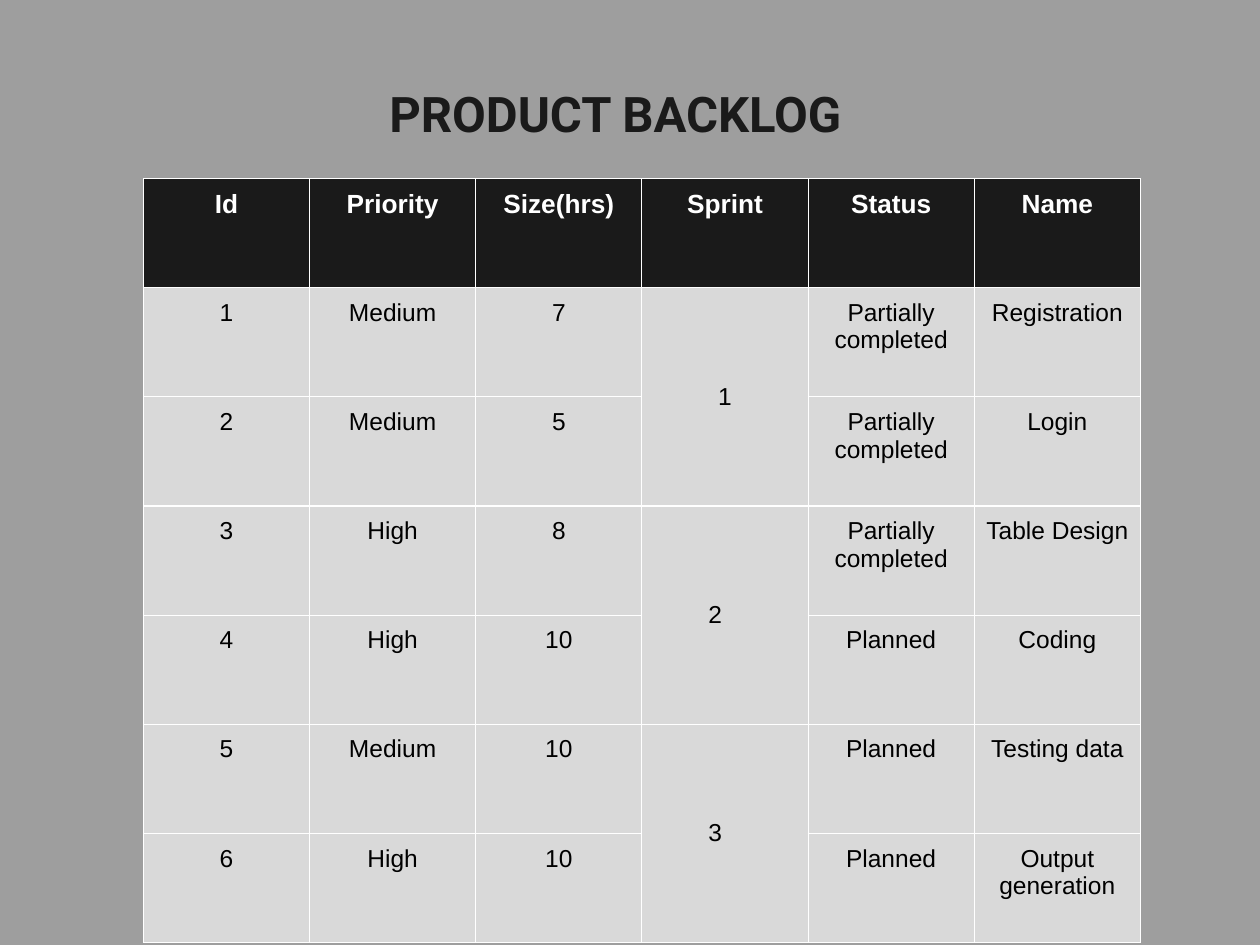
from lxml import etree
from pptx import Presentation
from pptx.dml.color import RGBColor
from pptx.enum import text
from pptx.oxml import ns
from pptx.util import Cm, Pt

TITLE = "PRODUCT BACKLOG"
HEADERS = ("Id", "Priority", "Size(hrs)", "Sprint", "Status", "Name")
BACKLOG = [
    ("1", "Medium", "7", "1", "Partially completed", "Registration"),
    ("2", "Medium", "5", "", "Partially completed", "Login"),
    ("3", "High", "8", "2", "Partially completed", "Table Design"),
    ("4", "High", "10", "", "Planned", "Coding"),
    ("5", "Medium", "10", "3", "Planned", "Testing data"),
    ("6", "High", "10", "", "Planned", "Output generation"),
]
SPRINT_COLUMN = HEADERS.index("Sprint")
ROWS_PER_SPRINT = 2
SPRINT_SHIFT = {"2": Cm(0.4), "3": Cm(0.4)}

THEME = {
    "background": "9E9E9E", "dark": "1A1A1A", "body": "D9D9D9",
    "white": "FFFFFF", "black": "000000",
    "title_font": "Roboto", "table_font": "Arial",
    "title_size": 28, "header_size": 15, "body_size": 14, "border_width": 0.75,
}

SLIDE_SIZE = Cm(25.4), Cm(19.05)
TITLE_BOX = Cm(7.85), Cm(1.68), Cm(9.68), Cm(1.24)
TABLE_LEFT, TABLE_TOP = Cm(2.89), Cm(3.6)
COLUMN_WIDTH, ROW_HEIGHT = Cm(3.35), Cm(2.2)
CELL_TOP_MARGIN = Cm(0.23)


def color(name):
    return RGBColor.from_string(THEME[name])


def add_run(paragraph, content, font_name, size, font_color, bold):
    run = paragraph.add_run()
    run.text = content
    run.font.name = THEME[font_name]
    run.font.size = Pt(THEME[size])
    run.font.color.rgb = color(font_color)
    run.font.bold = bold


def set_borders(cell):
    properties = cell._tc.get_or_add_tcPr()
    for side in ("a:lnL", "a:lnR", "a:lnT", "a:lnB"):
        line = etree.SubElement(properties, ns.qn(side), w=str(Pt(THEME["border_width"])))
        fill = etree.SubElement(line, ns.qn("a:solidFill"))
        etree.SubElement(fill, ns.qn("a:srgbClr"), val=THEME["white"])


def style_cell(cell, content, is_header):
    set_borders(cell)
    cell.fill.solid()
    cell.fill.fore_color.rgb = color("dark" if is_header else "body")
    cell.margin_left = cell.margin_right = cell.margin_bottom = 0
    cell.margin_top = CELL_TOP_MARGIN
    paragraph = cell.text_frame.paragraphs[0]
    paragraph.alignment = text.PP_ALIGN.CENTER
    if content:
        size, font_color = ("header_size", "white") if is_header else ("body_size", "black")
        add_run(paragraph, content, "table_font", size, font_color, is_header)


def add_title(slide):
    frame = slide.shapes.add_textbox(*TITLE_BOX).text_frame
    frame.word_wrap = True
    frame.margin_left = frame.margin_right = frame.margin_top = frame.margin_bottom = 0
    add_run(frame.paragraphs[0], TITLE, "title_font", "title_size", "dark", True)


def add_backlog(slide):
    rows = [HEADERS, *BACKLOG]
    table = slide.shapes.add_table(
        len(rows), len(HEADERS), TABLE_LEFT, TABLE_TOP,
        COLUMN_WIDTH * len(HEADERS), ROW_HEIGHT * len(rows),
    ).table
    for column in table.columns:
        column.width = COLUMN_WIDTH
    for row in table.rows:
        row.height = ROW_HEIGHT
    for row_index, values in enumerate(rows):
        for column_index, value in enumerate(values):
            style_cell(table.cell(row_index, column_index), value, row_index == 0)
    for first in range(1, len(rows), ROWS_PER_SPRINT):
        cell = table.cell(first, SPRINT_COLUMN)
        cell.merge(table.cell(first + ROWS_PER_SPRINT - 1, SPRINT_COLUMN))
        cell.vertical_anchor = text.MSO_ANCHOR.MIDDLE
        cell.margin_top = 0
        cell.margin_right = SPRINT_SHIFT.get(rows[first][SPRINT_COLUMN], 0)


def main():
    presentation = Presentation()
    presentation.slide_width, presentation.slide_height = SLIDE_SIZE
    slide = presentation.slides.add_slide(presentation.slide_layouts[6])
    slide.background.fill.solid()
    slide.background.fill.fore_color.rgb = color("background")
    add_title(slide)
    add_backlog(slide)
    presentation.save("out.pptx")


if __name__ == "__main__":
    main()
